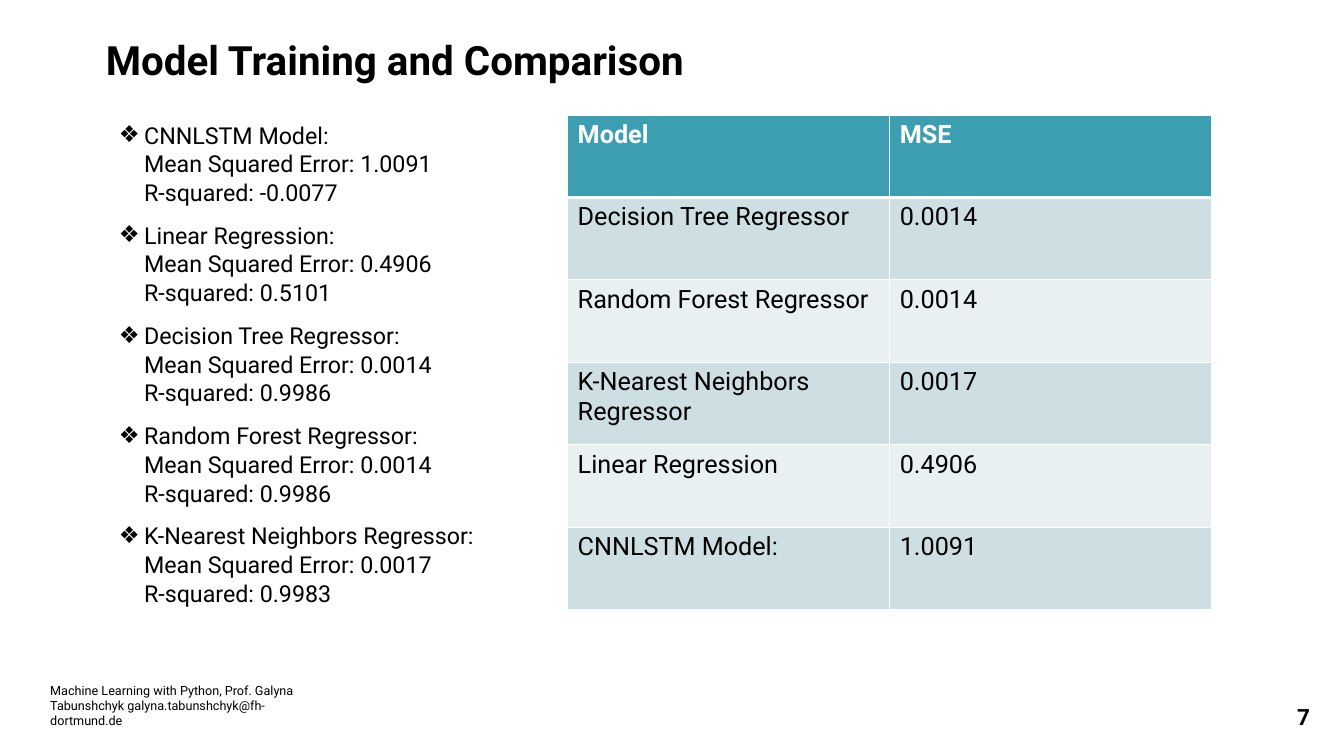
from copy import deepcopy

from lxml.etree import SubElement
from pptx import Presentation
from pptx.dml.color import RGBColor
from pptx.enum.text import MSO_ANCHOR as Anchor, MSO_AUTO_SIZE as AutoSize, PP_ALIGN as Align
from pptx.oxml.ns import qn
from pptx.util import Inches, Pt

FONT = "Roboto"
COLORS = {"text": "000000", "white": "FFFFFF", "header": "3B9EB1",
          "band_dark": "CEDFE4", "band_light": "E8F0F2"}

RESULTS = [
    ("CNNLSTM Model: ", "1.0091", "-0.0077"),
    ("Linear Regression:", "0.4906", "0.5101"),
    ("Decision Tree Regressor:", "0.0014", "0.9986"),
    ("Random Forest Regressor:", "0.0014", "0.9986"),
    ("K-Nearest Neighbors Regressor:", "0.0017", "0.9983"),
]
TABLE_ROWS = [
    ("Model", "MSE"),
    ("Decision Tree Regressor", "0.0014"),
    ("Random Forest Regressor", "0.0014"),
    ("K-Nearest Neighbors Regressor", "0.0017"),
    ("Linear Regression", "0.4906"),
    ("CNNLSTM Model:", "1.0091"),
]


def color(name):
    return RGBColor.from_string(COLORS[name])


def write(para, text, size, bold=False, ink="text", align=Align.LEFT):
    """Fill a paragraph; a vertical tab in the text is a line break."""
    para.text = text
    para.alignment = align
    for span in para.runs:
        span.font.name = FONT
        span.font.size = Pt(size)
        span.font.bold = bold
        span.font.color.rgb = color(ink)
    # Line breaks take the same format, so that line heights stay even
    for line_break in para._p.findall(qn("a:br")):
        line_break.append(deepcopy(para.runs[0].font._element))


def place(shape, box, anchor):
    shape.left, shape.top, shape.width, shape.height = (Inches(v) for v in box)
    frame = shape.text_frame
    frame.word_wrap = True
    frame.auto_size = AutoSize.NONE
    frame.vertical_anchor = anchor
    return frame


def set_bullet(para, char, indent):
    props = para._p.get_or_add_pPr()
    props.set("marL", str(Inches(indent)))
    props.set("indent", str(-Inches(indent)))
    SubElement(props, qn("a:buChar")).set("char", char)


def set_borders(cell, **widths):
    props = cell._tc.get_or_add_tcPr()
    for position, (side, width) in enumerate(widths.items()):
        line = SubElement(props, qn(f"a:ln{side}"), w=str(Pt(width)))
        fill = SubElement(line, qn("a:solidFill"))
        SubElement(fill, qn("a:srgbClr"), val=COLORS["white"])
        props.insert(position, line)


def add_title(page, box):
    frame = place(page.shapes.title, box, Anchor.BOTTOM)
    para = frame.paragraphs[0]
    para.line_spacing = 0.9
    write(para, "Model Training and Comparison", 28.8, bold=True)


def add_results(page, box):
    frame = place(page.placeholders[1], box, Anchor.TOP)
    for index, (model, error, r_squared) in enumerate(RESULTS):
        para = frame.add_paragraph() if index else frame.paragraphs[0]
        set_bullet(para, "❖", 0.25)
        para.space_before = Pt(10 if index else 0)
        para.line_spacing = 1.03
        write(para, f"{model}\vMean Squared Error: {error}\vR-squared: {r_squared}", 16.6)


def add_label(page, box, text, size, **style):
    label = page.shapes.add_textbox(0, 0, 0, 0)
    write(place(label, box, Anchor.MIDDLE).paragraphs[0], text, size, **style)


def add_error_table(page, box):
    table = page.shapes.add_table(len(TABLE_ROWS), 2, *(Inches(v) for v in box)).table
    for row, values in enumerate(TABLE_ROWS):
        header = row == 0
        band = "header" if header else "band_dark" if row % 2 else "band_light"
        for column, value in enumerate(values):
            cell = table.cell(row, column)
            cell.fill.solid()
            cell.fill.fore_color.rgb = color(band)
            set_borders(cell, L=1, R=1, T=3 if row == 1 else 1, B=3 if header else 1)
            write(cell.text_frame.paragraphs[0], value, 18, bold=header,
                  ink="white" if header else "text")


def main():
    deck = Presentation()
    deck.slide_width, deck.slide_height = Inches(13.33), Inches(7.5)
    page = deck.slides.add_slide(deck.slide_layouts[1])

    # Title and model results
    add_title(page, (0.95, 0.5, 9.36, 0.39))
    add_results(page, (1.08, 1.14, 11.8, 5.22))

    # Footer and page number
    add_label(page, (0.4, 6.8, 3, 0.4),
              "Machine Learning with Python, Prof. Galyna Tabunshchyk "
              "galyna.tabunshchyk@fh-dortmund.de", 9)
    add_label(page, (12.42, 6.91, 0.67, 0.4), "7", 16, bold=True, align=Align.RIGHT)

    # Error comparison
    add_error_table(page, (5.63, 1.14, 6.39, 4.91))
    deck.save("out.pptx")


if __name__ == "__main__":
    main()
